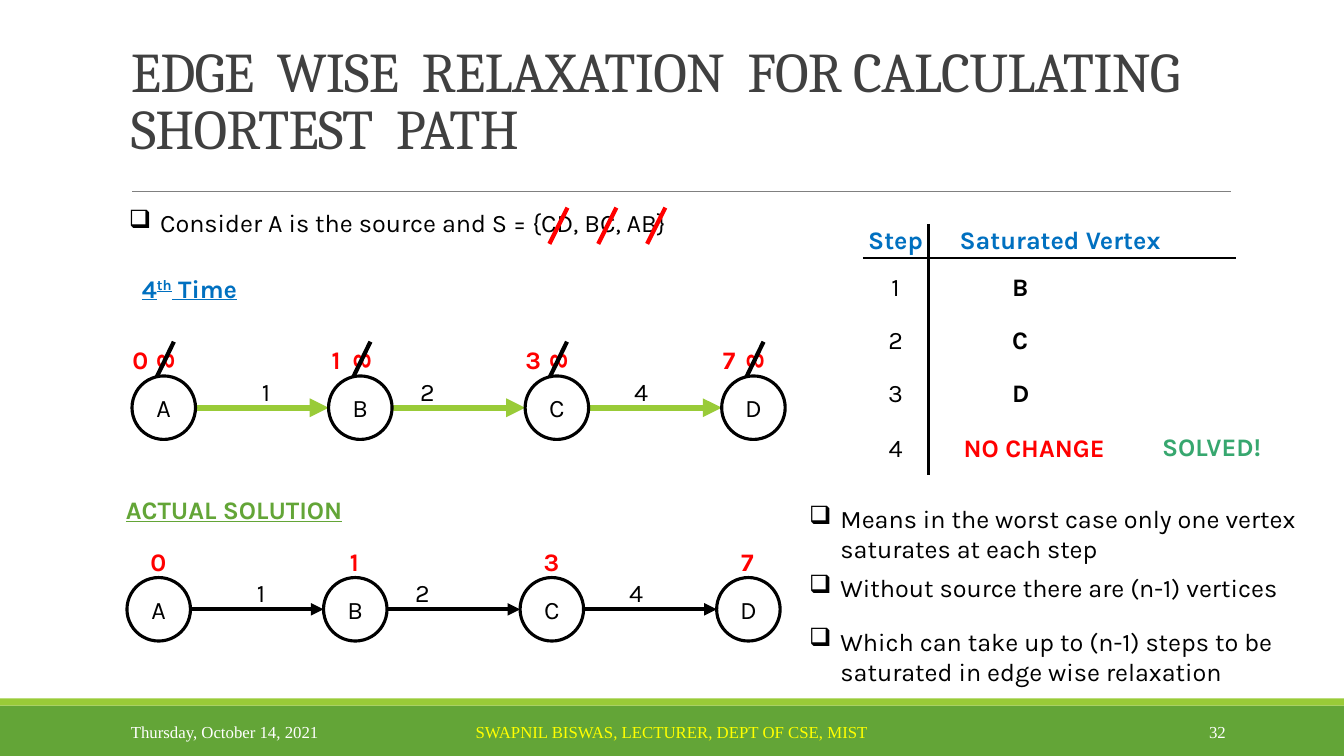
from lxml import etree
from pptx import Presentation, util as u
from pptx.dml.color import RGBColor
from pptx.enum import shapes, text
from pptx.oxml import ns

# The slide is a grid of square cells, ten to the inch
CELL = u.Inches(0.1)
COLS, ROWS = 133.33, 75
BODY, HEADING, FOOTER = "Karla", "Cambria", "Times New Roman"
BLACK, WHITE, RED, BLUE = "000000", "FFFFFF", "FF0000", "0070C0"
GREEN, LIME, TEAL, GREY, YELLOW = "63A537", "99CB38", "37A76F", "808080", "FFFF00"
LEFT, CENTER, RIGHT = text.PP_ALIGN.LEFT, text.PP_ALIGN.CENTER, text.PP_ALIGN.RIGHT
TOP, MIDDLE = text.MSO_ANCHOR.TOP, text.MSO_ANCHOR.MIDDLE
NODE = 6.3
NODE_STEP = 19.5


def cells(*counts):
    return [round(count * CELL) for count in counts]


def color(hex_code):
    return RGBColor.from_string(hex_code)


def child(parent, tag, **attributes):
    return etree.SubElement(parent, ns.qn(tag), **attributes)


def style(paragraph, ink=BLACK, size=18, font=BODY, bold=False, underline=False, align=LEFT):
    paragraph.alignment = align
    for run in paragraph.runs:
        run.font.name, run.font.size = font, u.Pt(size)
        run.font.bold, run.font.underline = bold, underline
        run.font.color.rgb = color(ink)


def write(slide, box, words, wrap=False, anchor=TOP, **look):
    area = slide.shapes.add_textbox(*cells(*box))
    frame = area.text_frame
    frame.word_wrap, frame.vertical_anchor = wrap, anchor
    frame.text = words
    style(frame.paragraphs[0], **look)
    return area


def label(slide, center, top, words, **look):
    return write(slide, (center - 1.7, top, 3.4, 4), words, align=CENTER, **look)


def bullet(slide, box, words, wrap=True):
    area = write(slide, box, words, wrap)
    hang = str(cells(3.1)[0])
    props = area.text_frame.paragraphs[0]._p.get_or_add_pPr()
    props.set("marL", hang)
    props.set("indent", "-" + hang)
    child(props, "a:buChar", char="❑")


def line(slide, start, end, ink, width, arrow=False):
    stroke = slide.shapes.add_connector(shapes.MSO_CONNECTOR.STRAIGHT, *cells(*start, *end))
    stroke.line.color.rgb, stroke.line.width = color(ink), u.Pt(width)
    if arrow:
        child(stroke.line._get_or_add_ln(), "a:tailEnd", type="triangle")
    child(stroke._element.spPr, "a:effectLst")


def filled(slide, kind, box, fill):
    shape = slide.shapes.add_shape(kind, *cells(*box))
    shape.shadow.inherit = False
    shape.fill.solid()
    shape.fill.fore_color.rgb = color(fill)
    shape.line.fill.background()
    return shape


def header(slide, left, top, width, height):
    title = write(slide, (left, top, width, height),
                  "EDGE  WISE  RELAXATION  FOR CALCULATING  SHORTEST  PATH", wrap=True,
                  anchor=text.MSO_ANCHOR.BOTTOM, ink="404040", size=40, font=HEADING)
    paragraph = title.text_frame.paragraphs[0]
    paragraph.line_spacing = 0.85
    paragraph.runs[0].font._element.set("spc", "-50")
    rule = top + height + 2.5
    line(slide, (left + 1.1, rule), (left + width + 0.1, rule), GREY, 0.5)


def footer(slide, top):
    filled(slide, shapes.MSO_SHAPE.RECTANGLE, (0, top, COLS, ROWS - top), GREEN)
    filled(slide, shapes.MSO_SHAPE.RECTANGLE, (0, top - 0.7, COLS, 0.7), LIME)
    for left, width, words, align, ink in (
            (12, 27, "Thursday, October 14, 2021", LEFT, WHITE),
            (40.3, 52.7, "SWAPNIL BISWAS, LECTURER, DEPT OF CSE, MIST", CENTER, YELLOW),
            (108.3, 14.3, "32", RIGHT, WHITE)):
        write(slide, (left, top + 0.6, width, 4), words, wrap=True, anchor=MIDDLE,
              ink=ink, size=12, font=FOOTER, align=align)


def edge_set(slide, left, top):
    bullet(slide, (left, top, 57.4, 4), "Consider A is the source and S = {CD, BC, AB}", wrap=False)
    for done in range(3):
        x = left + 42.7 + 4.85 * done
        line(slide, (x + 1.8, top + 0.5), (x, top + 4.1), RED, 3)


def iteration_heading(slide, left, top):
    heading = write(slide, (left, top, 11.6, 4), "4")
    paragraph = heading.text_frame.paragraphs[0]
    for part in ("th", " Time"):
        paragraph.add_run().text = part
    style(paragraph, BLUE, bold=True, underline=True)
    paragraph.runs[1].font._element.set("baseline", "30000")


def path_graph(slide, left, top, edge_ink, edge_width, relaxing):
    """Nodes A to D in a row; relaxing also shows the struck-out infinities."""
    middle = top + NODE / 2
    for i, (vertex, distance) in enumerate(zip("ABCD", "0137")):
        x = left + NODE_STEP * i
        center = x + NODE / 2
        if i < 3:
            line(slide, (x + NODE, middle), (x + NODE_STEP, middle), edge_ink, edge_width, arrow=True)
        node = filled(slide, shapes.MSO_SHAPE.OVAL, (x, top, NODE, NODE), WHITE)
        node.line.color.rgb, node.line.width = color(BLACK), u.Pt(2.25)
        frame = node.text_frame
        frame.margin_left = frame.margin_right = 0
        frame.word_wrap, frame.vertical_anchor = False, MIDDLE
        frame.text = vertex
        style(frame.paragraphs[0], align=CENTER)
        shift = -2.4 if relaxing else -0.1
        label(slide, center + shift, top - 3.6, distance, ink=RED, bold=True)
        if relaxing:
            infinity = label(slide, center, top - 3.4, "8", ink=RED, bold=True)
            infinity.rotation = 270
            line(slide, (center + 1, top - 3.4), (center - 0.7, top + 0.1), BLACK, 3)
    for offset, weight in zip((13.3, 29.3, 50.5), "124"):
        label(slide, left + offset, top - 0.5, weight)


def border(cell, sides):
    props = cell._tc.get_or_add_tcPr()
    for position, side in enumerate(sides):
        edge = etree.Element(ns.qn("a:" + side), w=str(u.Pt(2.25)))
        child(child(edge, "a:solidFill"), "a:srgbClr", val=BLACK)
        props.insert(position, edge)


def step_table(slide, left, top):
    widths, heights = (6.5, 30.5), (3.4, 6, 4.5, 6, 5)
    rows = (("Step", "Saturated Vertex", BLUE, 3.1), ("1", "B", BLACK, 8.3),
            ("2", "C", BLACK, 8.3), ("3", "D", BLACK, 8.3), ("4", "NO CHANGE", RED, 3.5))
    frame = slide.shapes.add_table(len(rows), 2, *cells(left, top, sum(widths), sum(heights)))
    table = frame.table
    table.first_row = table.horz_banding = False
    # "No style, no grid"
    table._tbl.tblPr.find(ns.qn("a:tableStyleId")).text = "{2D5ABB26-0587-4C30-8999-92F81FD0307C}"
    for column, width in zip(table.columns, cells(*widths)):
        column.width = width
    for r, (step, vertex, ink, indent) in enumerate(rows):
        table.rows[r].height = cells(heights[r])[0]
        for c, words in enumerate((step, vertex)):
            cell = table.cell(r, c)
            cell.margin_left = cells(indent * c)[0]
            cell.margin_right = cell.margin_top = cell.margin_bottom = 0
            cell.vertical_anchor = MIDDLE
            cell.text = words
            style(cell.text_frame.paragraphs[0], ink if c or r == 0 else BLACK,
                  bold=bool(c or r == 0), align=LEFT if c else CENTER)
            cell.fill.background()
            border(cell, (["lnL"] if c else ["lnR"]) + (["lnB"] if r == 0 else []))
    write(slide, (left + 28.7, top + 20.1, 13.1, 4), "SOLVED!", ink=TEAL, bold=True)


def conclusions(slide, left, top, width):
    for offset, height, words in (
            (0, 7.1, "Means in the worst case only one vertex saturates at each step"),
            (6.9, 4, "Without source there are (n-1) vertices"),
            (12.2, 7.1, "Which can take up to (n-1) steps to be saturated in edge wise relaxation")):
        bullet(slide, (left, top + offset, width, height), words)


def main():
    deck = Presentation()
    deck.slide_width, deck.slide_height = cells(COLS, ROWS)
    slide = deck.slides.add_slide(deck.slide_layouts[6])
    footer(slide, 70)
    header(slide, 12, 0.6, 110, 15.9)
    # Left: current iteration, then the final answer
    edge_set(slide, 11.8, 20.1)
    iteration_heading(slide, 13.1, 26.6)
    path_graph(slide, 13.1, 37.3, LIME, 4.5, relaxing=True)
    write(slide, (11.5, 48.6, 26.1, 4), "ACTUAL SOLUTION", ink=GREEN, bold=True, underline=True)
    path_graph(slide, 12.6, 57.3, BLACK, 3, relaxing=False)
    # Right: steps and what they show
    step_table(slide, 85.6, 22.2)
    conclusions(slide, 79.3, 49.4, 54)
    deck.save("out.pptx")


if __name__ == "__main__":
    main()
